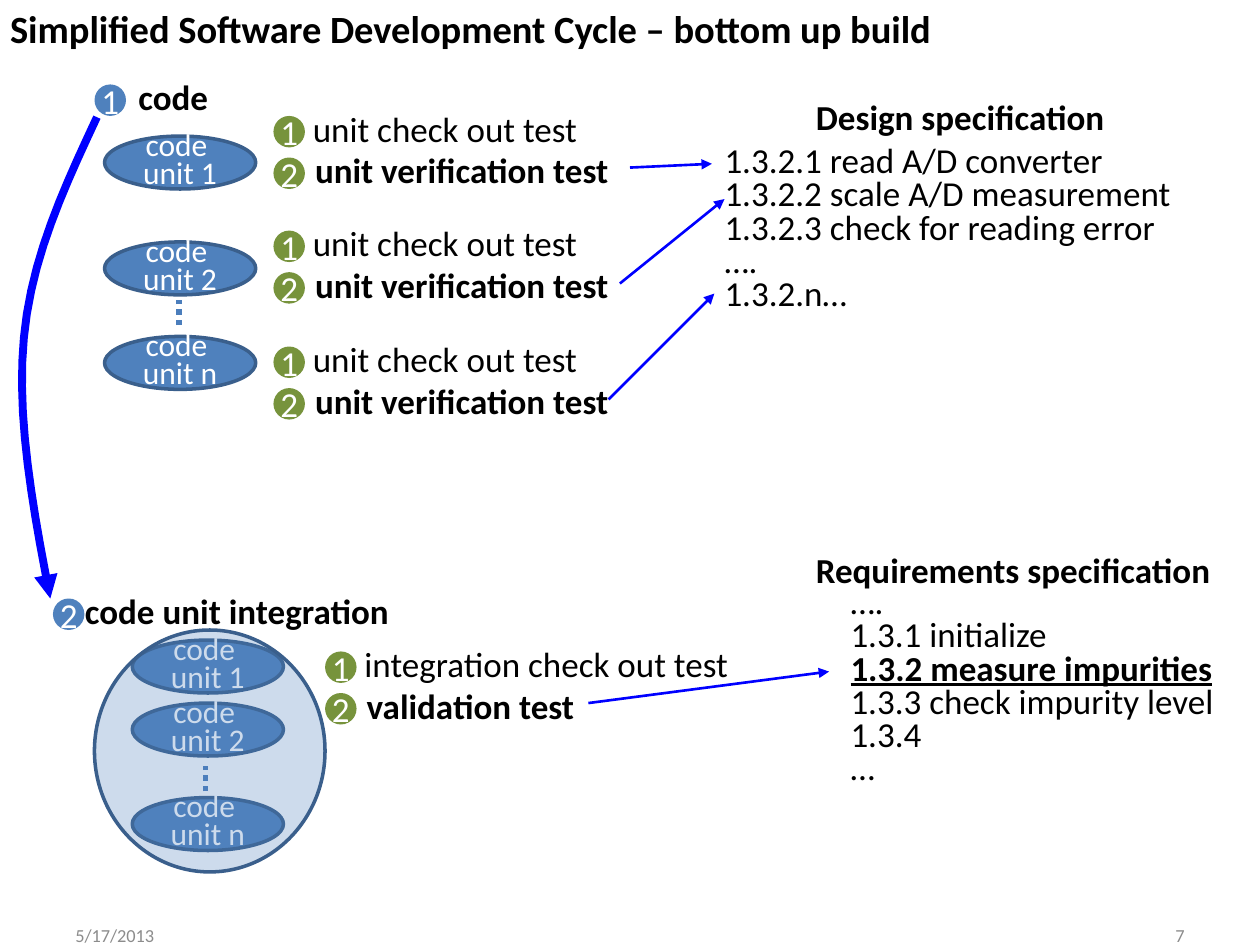
from pptx import Presentation
from pptx.dml.color import RGBColor
from pptx.enum.dml import MSO_LINE
from pptx.enum.shapes import MSO_CONNECTOR, MSO_SHAPE
from pptx.enum.text import MSO_ANCHOR, PP_ALIGN
from pptx.oxml.ns import qn
from pptx.util import Inches, Pt
from lxml import etree

THEME = {
    "font": "Calibri", "title": 22, "body": 20, "unit": 18, "footer": 10.5,
    "black": RGBColor.from_string("000000"), "white": RGBColor.from_string("FFFFFF"),
    "gray": RGBColor.from_string("8C8C8C"), "blue": RGBColor.from_string("4F81BD"),
    "edge": RGBColor.from_string("3A5F8C"), "dots": RGBColor.from_string("4B7EBC"),
    "green": RGBColor.from_string("77933C"), "arrow": RGBColor.from_string("0000FF"),
}
LEFT, CENTER, RIGHT = PP_ALIGN.LEFT, PP_ALIGN.CENTER, PP_ALIGN.RIGHT

prs = Presentation()
prs.slide_width, prs.slide_height = Inches(10), Inches(7.5)
s = prs.slides.add_slide(prs.slide_layouts[6])


def write(sp, lines, size="body", color="black", bold=False, align=LEFT,
          spacing=None, middle=False, inset=0, key_line=None):
    tf = sp.text_frame
    tf.word_wrap = True
    tf.vertical_anchor = MSO_ANCHOR.MIDDLE if middle else MSO_ANCHOR.TOP
    tf.margin_left = tf.margin_right = Inches(inset)
    tf.margin_top = tf.margin_bottom = Inches(inset / 2)
    for i, line in enumerate(lines):
        p = tf.add_paragraph() if i else tf.paragraphs[0]
        p.alignment = align
        if spacing:
            p.line_spacing = Pt(spacing)
        r = p.add_run()
        r.text = line
        r.font.name, r.font.size = THEME["font"], Pt(THEME[size])
        r.font.color.rgb = THEME[color]
        r.font.bold = bold or line == key_line
        r.font.underline = line == key_line


def style(sp, fill=None, line=None, width=2, arrow=False):
    if hasattr(sp, "fill"):
        sp.shadow.inherit = False
        if fill:
            sp.fill.solid()
            sp.fill.fore_color.rgb = THEME[fill]
        else:
            sp.fill.background()
    if line:
        sp.line.color.rgb = THEME[line]
        sp.line.width = Pt(width)
    else:
        sp.line.fill.background()
    if arrow:
        etree.SubElement(sp.line._get_or_add_ln(), qn("a:tailEnd"), type="triangle")
    if not hasattr(sp, "fill"):
        etree.SubElement(sp._element.spPr, qn("a:effectLst"))


# Title and footer
title = s.shapes.add_textbox(Inches(0.08), Inches(0.04), Inches(8.5), Inches(0.37))
write(title, ["Simplified Software Development Cycle – bottom up build"], "title", bold=True)
for x, text, align in [(0.5, "5/17/2013", LEFT), (7.17, "7", RIGHT)]:
    footer = s.shapes.add_textbox(Inches(x), Inches(7.35), Inches(2.33), Inches(0.15))
    write(footer, [text], "footer", "gray", align=align, middle=True, inset=0.1)

# Headings
for x, y, w, h, text in [
    (0.75, 0.67, 1.25, 0.33, "code"),
    (0.42, 4.75, 2.92, 0.42, "code unit integration"),
    (5.83, 0.83, 3.58, 0.33, "Design specification"),
    (6.33, 4.42, 3.42, 0.83, "Requirements specification"),
]:
    heading = s.shapes.add_textbox(Inches(x), Inches(y), Inches(w), Inches(h))
    write(heading, [text], bold=True, align=CENTER, spacing=19)

# Specification lists
design = ["1.3.2.1 read A/D converter", "1.3.2.2 scale A/D measurement",
          "1.3.2.3 check for reading error", "….", "1.3.2.n…"]
requirements = ["….", "1.3.1 initialize ", "1.3.2 measure impurities",
                "1.3.3 check impurity level", "1.3.4", "…"]
for x, y, w, h, lines in [(5.75, 1.17, 3.58, 1.08, design),
                          (6.75, 4.67, 3.08, 1.25, requirements)]:
    items = s.shapes.add_textbox(Inches(x), Inches(y), Inches(w), Inches(h))
    write(items, lines, spacing=19, key_line="1.3.2 measure impurities")

# Code units, separate and then integrated
for x, tops in [(0.83, (1.08, 1.92, 2.67)), (1.05, (5.08, 5.58, 6.33))]:
    for y, name in zip(tops, "12n"):
        unit = s.shapes.add_shape(MSO_SHAPE.OVAL, Inches(x), Inches(y), Inches(1.2), Inches(0.42))
        style(unit, "blue", "edge")
        write(unit, ["code ", f"unit {name}"], "unit", "white", align=CENTER,
              spacing=16, middle=True, inset=0.1)

# Dotted gaps between units
for x, y in [(1.42, 2.58), (1.63, 6.28)]:
    dots = s.shapes.add_connector(MSO_CONNECTOR.STRAIGHT, Inches(x), Inches(y),
                                  Inches(x), Inches(y - 0.2))
    style(dots, line="dots", width=3)
    dots.line.dash_style = MSO_LINE.ROUND_DOT

# Translucent circle around the integrated units
circle = s.shapes.add_shape(MSO_SHAPE.OVAL, Inches(0.75), Inches(5), Inches(1.83), Inches(1.92))
style(circle, "blue", "edge")
tint = circle._element.spPr.find(qn("a:solidFill"))[0]
etree.SubElement(tint, qn("a:alpha"), val="28000")

# Test steps
badges = [(0.75, 0.67, "1", "blue"), (0.42, 4.75, "2", "blue")]
unit_tests = (" unit check out test", "unit verification test")
for x, y, (check, verify) in [
    (2.17, 0.92, unit_tests), (2.17, 1.83, unit_tests), (2.17, 2.75, unit_tests),
    (2.58, 5.17, (" integration check out test", "validation test")),
]:
    badges += [(x, y, "1", "green"), (x, y + 0.33, "2", "green")]
    for dx, dy, w, text, bold in [(0.25, 0, 3.17, check, False), (0.33, 0.33, 2.42, verify, True)]:
        step = s.shapes.add_textbox(Inches(x + dx), Inches(y + dy), Inches(w), Inches(0.33))
        write(step, [text], bold=bold, spacing=19)

# Numbered badges
for x, y, number, color in badges:
    badge = s.shapes.add_shape(MSO_SHAPE.OVAL, Inches(x), Inches(y), Inches(0.25), Inches(0.25))
    style(badge, color)
    write(badge, [number], color="white", align=CENTER, middle=True)

# Arrows from tests to specifications
for x1, y1, x2, y2 in [(5, 1.33, 5.65, 1.3), (4.92, 2.25, 5.75, 1.58),
                       (4.83, 3.17, 5.67, 2.33), (4.67, 5.58, 6.58, 5.33)]:
    arrow = s.shapes.add_connector(MSO_CONNECTOR.STRAIGHT, Inches(x1), Inches(y1),
                                   Inches(x2), Inches(y2))
    style(arrow, line="arrow", width=1.5, arrow=True)

# Curved arrow from code to integration, sampled from two Bezier arcs
arcs = [((0.77, 0.93), (0.51, 1.49), (0.25, 2.04), (0.19, 2.68)),
        ((0.19, 2.68), (0.13, 3.31), (0.26, 4.03), (0.4, 4.75))]
steps = 10
points = []
for arc in arcs:
    for i in range(1, steps + 1):
        t = i / steps
        weights = ((1 - t) ** 3, 3 * t * (1 - t) ** 2, 3 * t ** 2 * (1 - t), t ** 3)
        points.append([Inches(sum(k * pt[axis] for k, pt in zip(weights, arc)))
                       for axis in (0, 1)])
builder = s.shapes.build_freeform(Inches(0.77), Inches(0.93))
builder.add_line_segments(points, close=False)
style(builder.convert_to_shape(), line="arrow", width=4.5, arrow=True)

prs.save("out.pptx")
